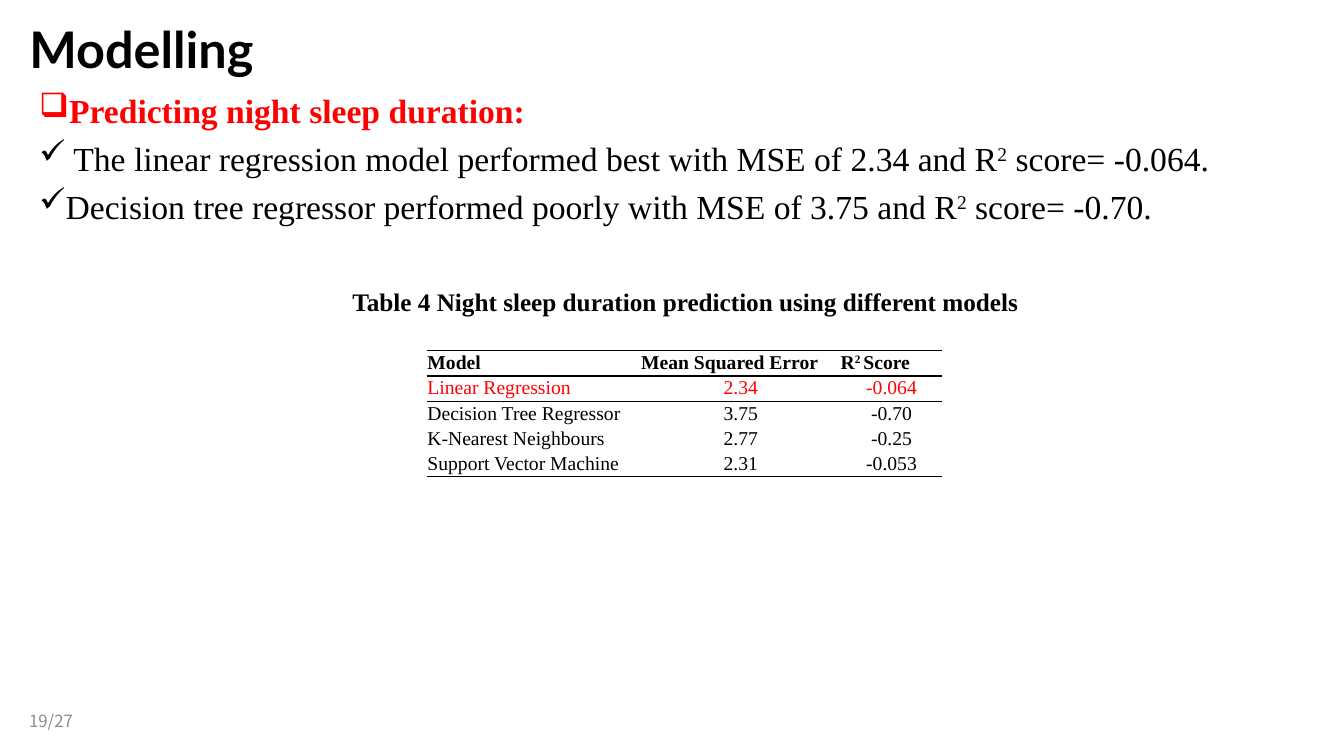
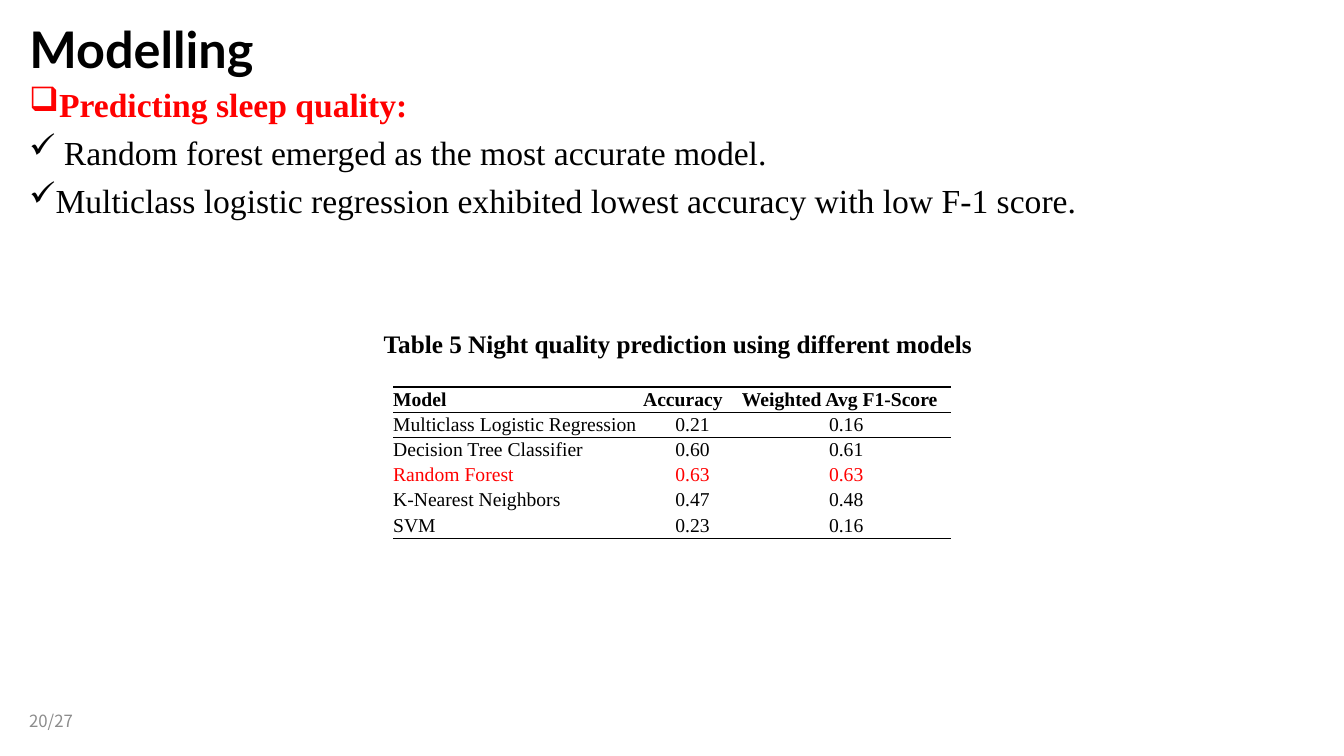
from lxml import etree
from pptx import Presentation
from pptx.dml.color import RGBColor
from pptx.enum.text import MSO_ANCHOR, PP_ALIGN
from pptx.oxml.ns import qn
from pptx.util import Inches, Pt

WIDTH, HEIGHT = Inches(13.33), Inches(7.5)
LEFT, CENTER = PP_ALIGN.LEFT, PP_ALIGN.CENTER
TOP, MIDDLE = MSO_ANCHOR.TOP, MSO_ANCHOR.MIDDLE
BLACK, RED, GREY = "000000", "FF0000", "8C8C8C"
TITLE_FONT, TEXT_FONT, FOOTER_FONT = "Lato", "Times New Roman", "Noto Sans CJK KR"
PLAIN_TABLE = "{2D5ABB26-0587-4C30-8999-92F81FD0307C}"
ROW_HEIGHT = 3.07
INDENT = Inches(0.2)
LAST_PAGE = 27

PAGES = [
    {
        "number": 19,
        "body_at": (2.18, 11.2),
        "heading": "Predicting night sleep duration:",
        "points": [
            " The linear regression model performed best with MSE of 2.34 and R^2^ score= -0.064.",
            "Decision tree regressor performed poorly with MSE of 3.75 and R^2^ score= -0.70.",
        ],
        "caption": "Table 4 Night sleep duration prediction using different models",
        "caption_box": (25.43, 37.2, 51.15, 5.33),
        "table_at": (31.8, 46.4),
        "columns": [15.9, 14.85, 7.58],
        "best": "Linear Regression",
        "rows": [
            ("Model", "Mean Squared Error", "R^2 ^Score"),
            ("Linear Regression", "2.34", "-0.064"),
            ("Decision Tree Regressor", "3.75", "-0.70"),
            ("K-Nearest Neighbours", "2.77", "-0.25"),
            ("Support Vector Machine", "2.31", "-0.053"),
        ],
    },
    {
        "number": 20,
        "body_at": (1.43, 10.4),
        "heading": "Predicting sleep quality:",
        "points": [
            " Random forest emerged as the most accurate model.",
            "Multiclass logistic regression exhibited lowest accuracy with low F-1 score.",
        ],
        "caption": "Table 5 Night quality prediction using different models",
        "caption_box": (25.43, 42.8, 50.03, 5.33),
        "table_at": (29.25, 51.2),
        "columns": [18.6, 7.35, 15.53],
        "best": "Random Forest",
        "rows": [
            ("Model", "Accuracy", "Weighted Avg F1-Score"),
            ("Multiclass Logistic Regression", "0.21", "0.16"),
            ("Decision Tree Classifier", "0.60", "0.61"),
            ("Random Forest", "0.63", "0.63"),
            ("K-Nearest Neighbors", "0.47", "0.48"),
            ("SVM", "0.23", "0.16"),
        ],
    },
]


def across(share):
    """Turn a percentage of the slide width into a length."""
    return int(WIDTH * share / 100)


def down(share):
    """Turn a percentage of the slide height into a length."""
    return int(HEIGHT * share / 100)


def color(code):
    """Turn a hex string into a colour."""
    return RGBColor.from_string(code)


def write(para, text, size=24, font=TEXT_FONT, ink=BLACK, bold=False, align=LEFT):
    """Write formatted text, raising the parts between carets."""
    para.alignment = align
    for index, part in enumerate(text.split("^")):
        span = para.add_run()
        span.text = part
        span.font.size = Pt(size)
        span.font.name = font
        span.font.bold = bold
        span.font.color.rgb = color(ink)
        if index % 2:
            span.font._element.set("baseline", "30000")


def add_box(page, left, top, width, height, anchor=TOP, inset=True):
    """Add an empty text box and return its text frame."""
    box = page.shapes.add_textbox(across(left), down(top), across(width), down(height))
    frame = box.text_frame
    frame.word_wrap = True
    frame.vertical_anchor = anchor
    if not inset:
        frame.margin_left = frame.margin_right = 0
        frame.margin_top = frame.margin_bottom = 0
    return frame


def add_bullet(para, mark):
    """Give a paragraph a hanging bullet and space above."""
    para.space_before = Pt(5.5)
    properties = para._p.get_or_add_pPr()
    properties.set("marL", str(INDENT))
    properties.set("indent", str(-INDENT))
    etree.SubElement(properties, qn("a:buChar"), char=mark)


def add_body(page, at, heading, points):
    """Add a red heading followed by ticked points."""
    frame = add_box(page, *at, 93.8, 74.93)
    add_bullet(frame.paragraphs[0], "❑")
    write(frame.paragraphs[0], heading, ink=RED, bold=True)
    for point in points:
        para = frame.add_paragraph()
        add_bullet(para, "✓")
        write(para, point)


def add_rule(cell, side):
    """Draw a thin black border on one side of a cell."""
    line = etree.SubElement(cell._tc.get_or_add_tcPr(), qn(f"a:{side}"), w=str(Pt(1)))
    fill = etree.SubElement(line, qn("a:solidFill"))
    etree.SubElement(fill, qn("a:srgbClr"), val=BLACK)


def add_results(page, at, columns, rows, best):
    """Add a ruled results table with the best model in red."""
    shape = page.shapes.add_table(
        len(rows), len(columns), across(at[0]), down(at[1]),
        across(sum(columns)), down(ROW_HEIGHT * len(rows)))
    table = shape.table
    table.first_row = table.horz_banding = False
    table._tbl.tblPr.find(qn("a:tableStyleId")).text = PLAIN_TABLE
    for column, width in zip(table.columns, columns):
        column.width = across(width)
    for row_index, row in enumerate(rows):
        header = row_index == 0
        table.rows[row_index].height = down(ROW_HEIGHT)
        for column_index, text in enumerate(row):
            cell = table.cell(row_index, column_index)
            cell.margin_left = cell.margin_right = 0
            cell.margin_top = cell.margin_bottom = 0
            if row_index < 2:
                add_rule(cell, "lnT")
            if header or row_index == len(rows) - 1:
                add_rule(cell, "lnB")
            cell.fill.background()
            para = cell.text_frame.paragraphs[0]
            para.line_spacing = 1.07
            write(para, text, size=14, bold=header,
                  ink=RED if row[0] == best else BLACK,
                  align=LEFT if header or column_index == 0 else CENTER)


def add_page(deck, content):
    """Add one slide with its title, points, table and page number."""
    page = deck.slides.add_slide(deck.slide_layouts[6])
    title = add_box(page, 2.18, 2.35, 93.8, 8.13, anchor=MIDDLE, inset=False)
    write(title.paragraphs[0], "Modelling", size=36, font=TITLE_FONT, bold=True)
    add_body(page, content["body_at"], content["heading"], content["points"])
    footer = add_box(page, 1.43, 92.67, 22.5, 5.33, anchor=MIDDLE)
    write(footer.paragraphs[0], f"{content['number']}/{LAST_PAGE}",
          size=12, font=FOOTER_FONT, ink=GREY)
    add_results(page, content["table_at"], content["columns"],
                content["rows"], content["best"])
    caption = add_box(page, *content["caption_box"])
    write(caption.paragraphs[0], content["caption"], size=18, bold=True, align=CENTER)


def main():
    """Build and save the deck."""
    deck = Presentation()
    deck.slide_width, deck.slide_height = WIDTH, HEIGHT
    for content in PAGES:
        add_page(deck, content)
    deck.save("out.pptx")


if __name__ == "__main__":
    main()
